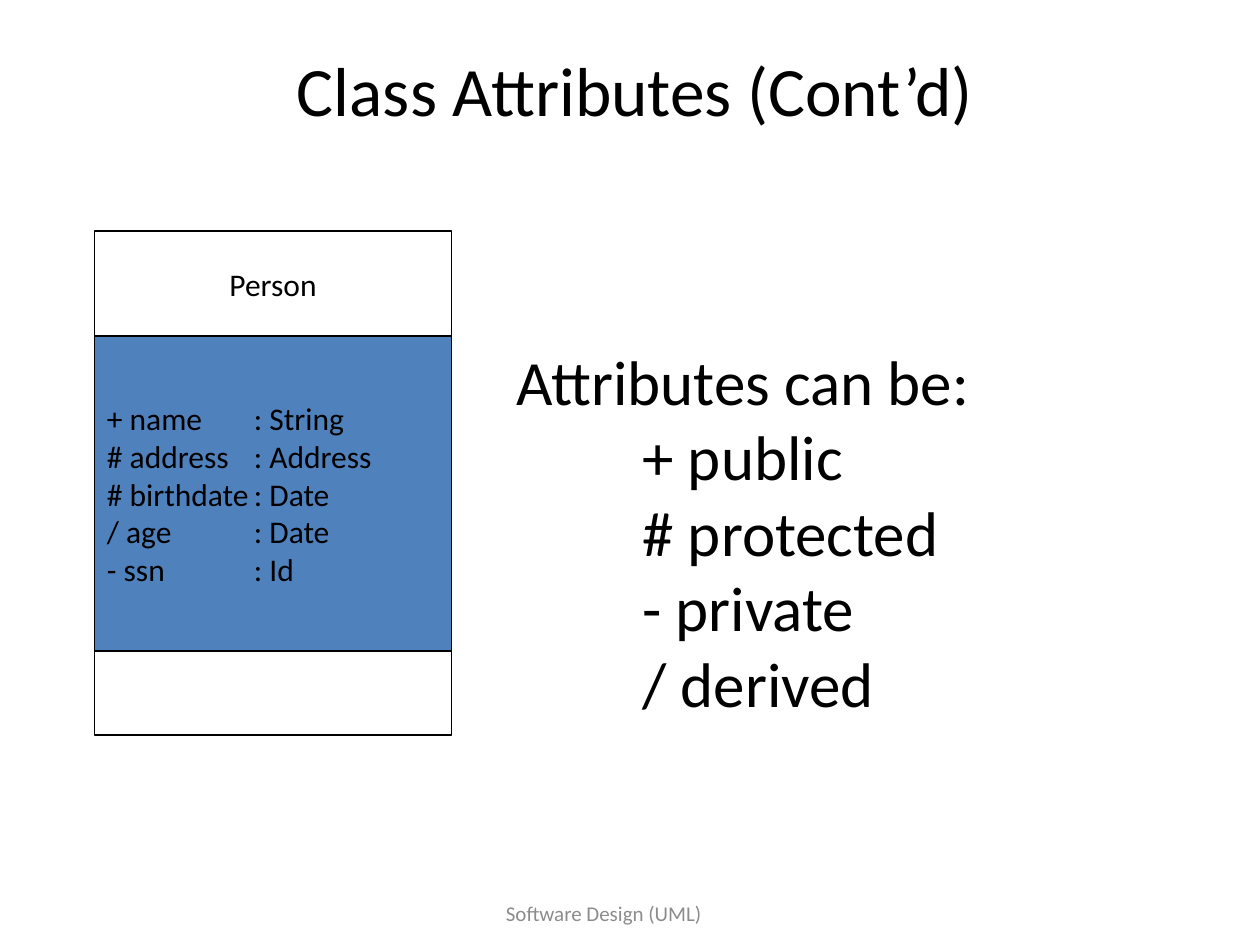
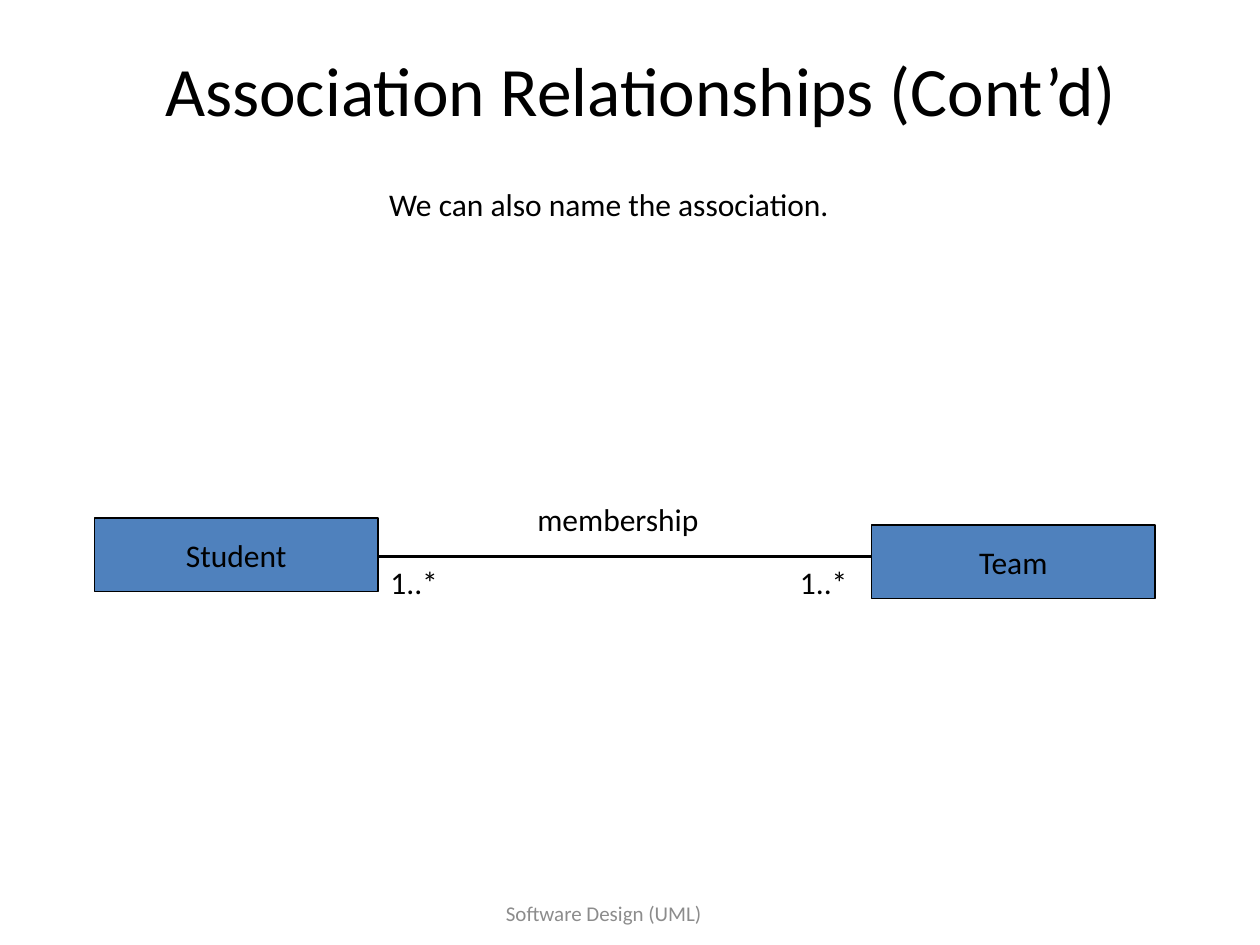
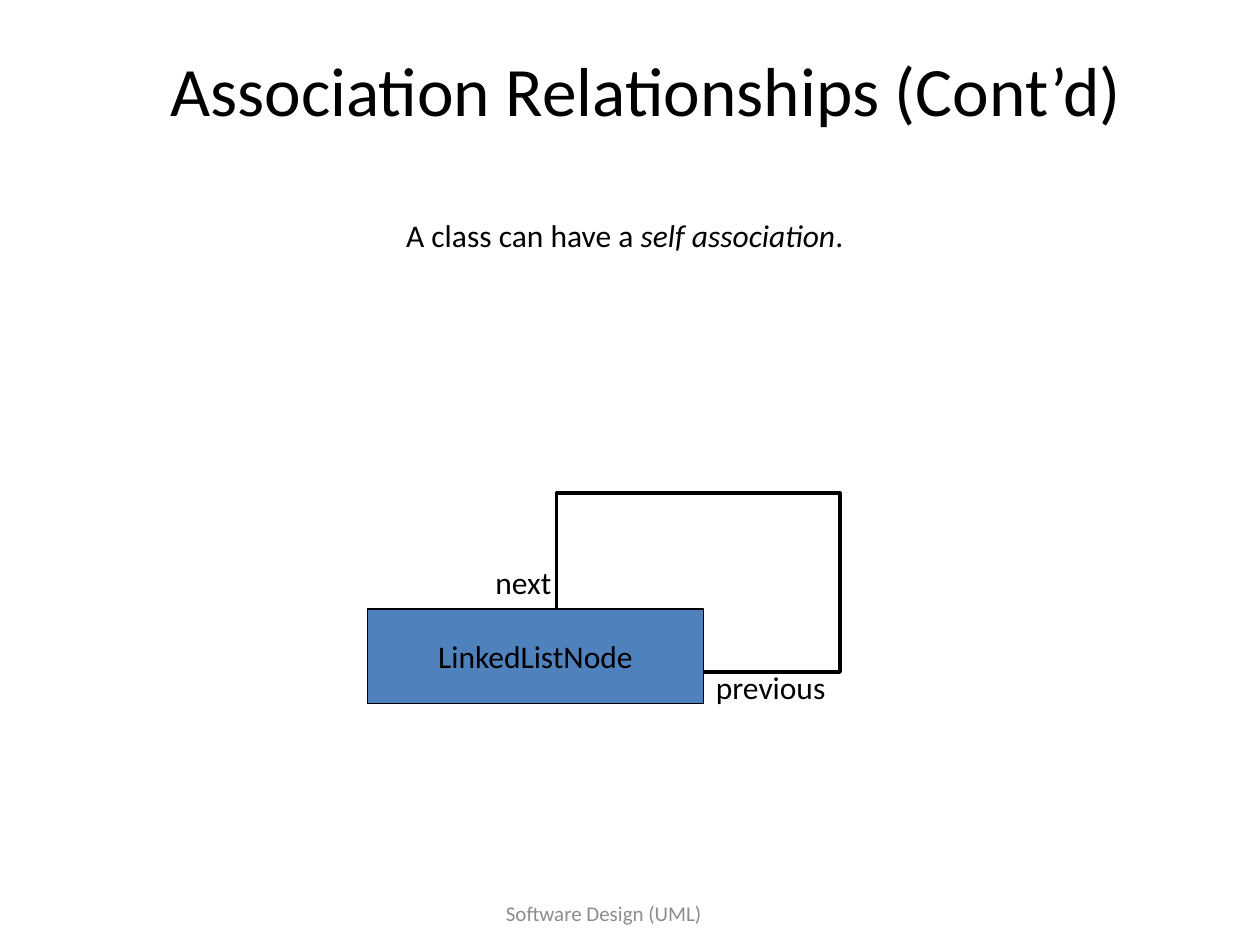
from lxml import etree
from pptx import Presentation
from pptx.dml.color import RGBColor
from pptx.enum import shapes, text
from pptx.oxml import ns
from pptx.util import Pt

COLORS = {"ink": "000000", "paper": "FFFFFF", "class": "4F81BD", "footer": "8C8C8C"}
FONT = "Calibri"
LEFT, CENTER = text.PP_ALIGN.LEFT, text.PP_ALIGN.CENTER
TOP, MIDDLE = text.MSO_ANCHOR.TOP, text.MSO_ANCHOR.MIDDLE


def write(sp, lines, size=18, color="ink", align=LEFT, anchor=TOP, tab=None):
    """Fill a shape; each line is a list of runs, and a run in *stars* is italic."""
    tf = sp.text_frame
    tf.word_wrap = True
    tf.vertical_anchor = anchor
    for i, runs in enumerate(lines):
        p = tf.add_paragraph() if i else tf.paragraphs[0]
        p.alignment = align
        if tab:
            tabs = etree.SubElement(p._p.get_or_add_pPr(), ns.qn("a:tabLst"))
            etree.SubElement(tabs, ns.qn("a:tab"), pos=str(Pt(tab)), algn="l")
        for words, italic in runs:
            r = p.add_run()
            r.text = words
            r.font.name, r.font.size, r.font.italic = FONT, Pt(size), italic
            r.font.color.rgb = RGBColor.from_string(COLORS[color])


def add_box(s, left, top, width, height, fill="class", line=0.75):
    sp = s.shapes.add_shape(shapes.MSO_SHAPE.RECTANGLE, Pt(left), Pt(top), Pt(width), Pt(height))
    sp.shadow.inherit = False
    sp.fill.solid()
    sp.fill.fore_color.rgb = RGBColor.from_string(COLORS[fill])
    sp.line.color.rgb = RGBColor.from_string(COLORS["ink"])
    sp.line.width = Pt(line)
    return sp


prs = Presentation()
prs.slide_width, prs.slide_height = Pt(720), Pt(540)

# Footer and title on every slide
slides = []
for title, left, width in [
    ("Class Attributes (Cont’d)", 54, 618),
    ("Association Relationships (Cont’d)", 48, 636),
    ("Association Relationships (Cont’d)", 48, 642),
]:
    s = prs.slides.add_slide(prs.slide_layouts[6])
    footer = s.shapes.add_textbox(Pt(186), Pt(504), Pt(318), Pt(36))
    write(footer, [[("Software Design (UML)", False)]], 12, "footer", CENTER, MIDDLE)
    heading = s.shapes.add_textbox(Pt(left), Pt(30), Pt(width), Pt(42))
    write(heading, [[(title, False)]], 39.6, "ink", CENTER, MIDDLE)
    slides.append(s)
attributes, association, self_association = slides

# Slide 1: class box in three compartments
name_box = add_box(attributes, 54, 132, 204, 60, "paper")
write(name_box, [[("Person", False)]], align=CENTER, anchor=MIDDLE)
fields = ["+ name\t: String", "# address\t: Address", "# birthdate\t: Date",
          "/ age\t: Date", "- ssn\t: Id"]
field_box = add_box(attributes, 54, 192, 204, 180)
write(field_box, [[(f, False)] for f in fields], anchor=MIDDLE, tab=84)
add_box(attributes, 54, 372, 204, 48, "paper")

# Slide 1: visibility legend
legend = ["Attributes can be:", "\t+ public", "\t# protected", "\t- private", "\t/ derived"]
sp = attributes.shapes.add_textbox(Pt(288), Pt(192), Pt(276.5), Pt(225.5))
write(sp, [[(item, False)] for item in legend], 36, tab=72)

# Slide 2: association line, drawn behind the class boxes
link = association.shapes.add_connector(
    shapes.MSO_CONNECTOR.STRAIGHT, Pt(216), Pt(318), Pt(504), Pt(318))
link.line.color.rgb = RGBColor.from_string(COLORS["ink"])
link.line.width = Pt(2.25)
etree.SubElement(link._element.spPr, ns.qn("a:effectLst"))

# Slide 3: loop, drawn behind the class box
add_box(self_association, 318, 282, 162, 102, "paper", 2.25)

# Class boxes of both association slides
for s, name, left, top, width, height in [
    (association, "Team", 498, 300, 162, 42),
    (association, "Student", 54, 296, 162, 42),
    (self_association, "LinkedListNode", 210, 348, 192, 54),
]:
    write(add_box(s, left, top, width, height), [[(name, False)]], align=CENTER, anchor=MIDDLE)

# Statements and association labels
for s, runs, left, top, width, height, align in [
    (association, [("We can also name the association.", False)], 120, 102, 456, 36, CENTER),
    (association, [("membership", False)], 300, 282, 138, 36, LEFT),
    (association, [("1..*", False)], 216, 318, 60, 36, LEFT),
    (association, [("1..*", False)], 450, 318, 54, 36, LEFT),
    (self_association, [("A class can have a ", False), ("self association", True), (".", False)],
     48, 120, 618, 36, CENTER),
    (self_association, [("next", False)], 276, 318, 48, 29, LEFT),
    (self_association, [("previous", False)], 402, 378, 84, 29, LEFT),
]:
    sp = s.shapes.add_textbox(Pt(left), Pt(top), Pt(width), Pt(height))
    write(sp, [runs], align=align)

prs.save("out.pptx")
